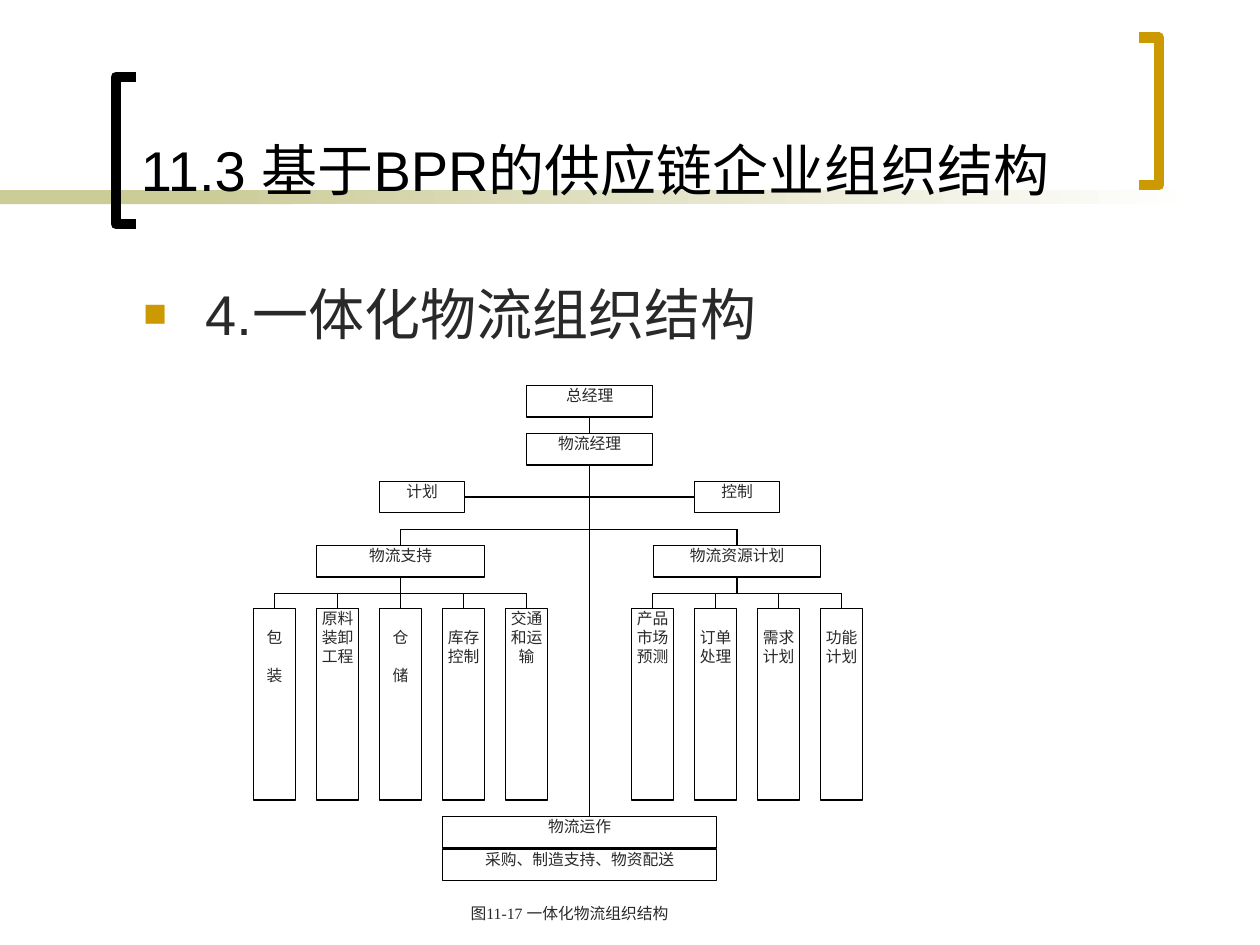
from dataclasses import dataclass

from lxml.etree import SubElement
from pptx import Presentation
from pptx.dml.color import RGBColor
from pptx.enum.shapes import MSO_CONNECTOR, MSO_SHAPE
from pptx.enum.text import MSO_ANCHOR, PP_ALIGN
from pptx.oxml.ns import qn
from pptx.util import Inches, Pt

BLACK = RGBColor(0x00, 0x00, 0x00)
WHITE = RGBColor(0xFF, 0xFF, 0xFF)
KHAKI = RGBColor(0xCC, 0xCC, 0x99)
GOLD = RGBColor(0xCC, 0x99, 0x00)
CHARCOAL = RGBColor(0x29, 0x29, 0x29)

TEXT_LINE = 11  # height in points of one line of box text
ROW_HEIGHT = 0.25
LEAF_WIDTH, LEAF_HEIGHT, LEAF_TOP, LEAF_STEP = 0.33, 1.52, 4.83, 0.5
BRANCH_Y, LEAF_BUS_Y = 4.2, 4.71
SPINE_X = 4.68


@dataclass(frozen=True)
class Box:
    text: str
    center: float
    top: float
    width: float
    height: float = ROW_HEIGHT
    lines_above: int = 0


@dataclass(frozen=True)
class Leaf:
    text: str
    lines_above: int = 0


@dataclass(frozen=True)
class Branch:
    head: Box
    first_leaf_center: float
    leaves: tuple[Leaf, ...]


GENERAL_MANAGER = Box("总经理", SPINE_X, 3.06, 1)
LOGISTICS_MANAGER = Box("物流经理", SPINE_X, 3.44, 1)
PLANNING = Box("计划", 3.35, 3.82, 0.67)
CONTROL = Box("控制", 5.85, 3.82, 0.67)
OPERATIONS = Box("物流运作", 4.6, 6.48, 2.17)
OPERATION_TASKS = Box("采购、制造支持、物资配送", 4.6, 6.74, 2.17)
BRANCHES = (
    Branch(Box("物流支持", 3.18, 4.33, 1.33), 2.18, (
        Leaf("包\n装", 1), Leaf("原料装卸工程"), Leaf("仓\n储", 1),
        Leaf("库存控制", 1), Leaf("交通和运输"))),
    Branch(Box("物流资源计划", 5.85, 4.33, 1.33), 5.18, (
        Leaf("产品市场预测"), Leaf("订单处理", 1),
        Leaf("需求计划", 1), Leaf("功能计划", 1))),
)


def write_text(shape, text: str, *, size=9, font="Times New Roman", color=CHARCOAL,
               align=PP_ALIGN.CENTER, anchor=MSO_ANCHOR.TOP,
               margins=(0.1, 0.05), extra_top=0, paragraph_gap=0) -> None:
    """Fill a shape with one paragraph per line of text."""
    frame = shape.text_frame
    frame.word_wrap = True
    frame.vertical_anchor = anchor
    frame.margin_left = frame.margin_right = Inches(margins[0])
    frame.margin_top = Inches(margins[1]) + Pt(extra_top)
    frame.margin_bottom = Inches(margins[1])
    frame.text = text
    for index, paragraph in enumerate(frame.paragraphs):
        paragraph.alignment = align
        if index:
            paragraph.space_before = Pt(paragraph_gap)
        paragraph.font.size = Pt(size)
        for run in paragraph.runs:
            run.font.size = Pt(size)
            run.font.name = font
            run.font.color.rgb = color


def add_rectangle(slide, left: float, top: float, width: float, height: float,
                  fill=WHITE, outline=None):
    shape = slide.shapes.add_shape(MSO_SHAPE.RECTANGLE, Inches(left), Inches(top),
                                   Inches(width), Inches(height))
    shape.shadow.inherit = False
    shape.fill.solid()
    shape.fill.fore_color.rgb = fill
    if outline is None:
        shape.line.fill.background()
    else:
        shape.line.color.rgb = outline
        shape.line.width = Pt(0.75)
    return shape


def add_box(slide, box: Box):
    shape = add_rectangle(slide, box.center - box.width / 2, box.top,
                          box.width, box.height, outline=BLACK)
    write_text(shape, box.text, margins=(0, 0), paragraph_gap=TEXT_LINE,
               extra_top=box.lines_above * TEXT_LINE)
    return shape


def add_line(slide, start: tuple[float, float], end: tuple[float, float],
             begin_at=None, end_at=None) -> None:
    """Draw a line; begin_at and end_at are (shape, side) pairs to join."""
    line = slide.shapes.add_connector(MSO_CONNECTOR.STRAIGHT,
                                      *(Inches(value) for value in (*start, *end)))
    line.line.color.rgb = BLACK
    line.line.width = Pt(0.75)
    SubElement(line._element.spPr, qn("a:effectLst"))
    if begin_at:
        line.begin_connect(*begin_at)
    if end_at:
        line.end_connect(*end_at)


def add_bracket(slide, spine: float, tip: float, top: float, color: RGBColor) -> None:
    bottom = top + 1.17
    points = [(tip, top), (spine, top), (spine, bottom), (tip, bottom)]
    corners = [(Inches(x), Inches(y)) for x, y in points]
    builder = slide.shapes.build_freeform(*corners[0])
    builder.add_line_segments(corners[1:], close=False)
    bracket = builder.convert_to_shape()
    bracket.shadow.inherit = False
    bracket.fill.background()
    bracket.line.color.rgb = color
    bracket.line.width = Pt(6)


def add_text_box(slide, left: float, top: float, width: float, height: float):
    return slide.shapes.add_textbox(Inches(left), Inches(top), Inches(width), Inches(height))


def add_square_bullet(paragraph) -> None:
    properties = paragraph._p.get_or_add_pPr()
    properties.set("marL", str(Inches(0.49)))
    properties.set("indent", str(Inches(-0.49)))
    color = SubElement(properties, qn("a:buClr"))
    SubElement(color, qn("a:srgbClr"), val=str(GOLD))
    SubElement(properties, qn("a:buSzPct"), val="70000")
    SubElement(properties, qn("a:buFont"), typeface="Arial")
    SubElement(properties, qn("a:buChar"), char="■")


def add_heading(slide) -> None:
    add_rectangle(slide, 0, 1.51, 2.33, 0.11, fill=KHAKI)
    fade = add_rectangle(slide, 1.58, 1.51, 7.92, 0.11)
    fade.fill.gradient()
    fade.fill.gradient_angle = 0
    for stop, color, position in zip(fade.fill.gradient_stops, (KHAKI, WHITE), (0, 1)):
        stop.color.rgb = color
        stop.position = position
    add_bracket(slide, 0.92, 1.08, 0.61, BLACK)
    add_bracket(slide, 9.2, 9.04, 0.3, GOLD)

    title = add_text_box(slide, 1.02, 0.11, 7.83, 1.55)
    write_text(title, "11.3 基于BPR的供应链企业组织结构", size=32, font="Arial",
               color=BLACK, align=PP_ALIGN.LEFT, anchor=MSO_ANCHOR.BOTTOM)
    body = add_text_box(slide, 1.04, 2.17, 8.38, 4.5)
    write_text(body, "4.一体化物流组织结构", size=32, font="Arial", align=PP_ALIGN.LEFT)
    add_square_bullet(body.text_frame.paragraphs[0])


def add_branch(slide, branch: Branch) -> None:
    head = add_box(slide, branch.head)
    center = branch.head.center
    add_line(slide, (center, BRANCH_Y), (center, branch.head.top), end_at=(head, 0))
    add_line(slide, (center, branch.head.top + ROW_HEIGHT), (center, LEAF_BUS_Y),
             begin_at=(head, 2))
    centers = [branch.first_leaf_center + LEAF_STEP * index
               for index in range(len(branch.leaves))]
    add_line(slide, (centers[0], LEAF_BUS_Y), (centers[-1], LEAF_BUS_Y))
    for x, leaf in zip(centers, branch.leaves):
        shape = add_box(slide, Box(leaf.text, x, LEAF_TOP, LEAF_WIDTH,
                                   LEAF_HEIGHT, leaf.lines_above))
        add_line(slide, (x, LEAF_BUS_Y), (x, LEAF_TOP), end_at=(shape, 0))


def add_organization_chart(slide) -> None:
    general_manager = add_box(slide, GENERAL_MANAGER)
    add_line(slide, (SPINE_X, GENERAL_MANAGER.top + ROW_HEIGHT),
             (SPINE_X, OPERATIONS.top), begin_at=(general_manager, 2))
    add_box(slide, LOGISTICS_MANAGER)
    planning, control = add_box(slide, PLANNING), add_box(slide, CONTROL)
    add_line(slide, (3.68, 3.95), (5.52, 3.95), (planning, 3), (control, 1))
    add_line(slide, (BRANCHES[0].head.center, BRANCH_Y), (BRANCHES[1].head.center, BRANCH_Y))
    for branch in BRANCHES:
        add_branch(slide, branch)
    add_box(slide, OPERATIONS)
    add_box(slide, OPERATION_TASKS)
    caption = add_rectangle(slide, 3.02, 7.12, 3, 0.38)
    write_text(caption, "图11-17 一体化物流组织结构")


def main() -> None:
    presentation = Presentation()
    presentation.slide_width, presentation.slide_height = Inches(10), Inches(7.5)
    slide = presentation.slides.add_slide(presentation.slide_layouts[6])
    add_heading(slide)
    add_organization_chart(slide)
    presentation.save("out.pptx")


if __name__ == "__main__":
    main()
